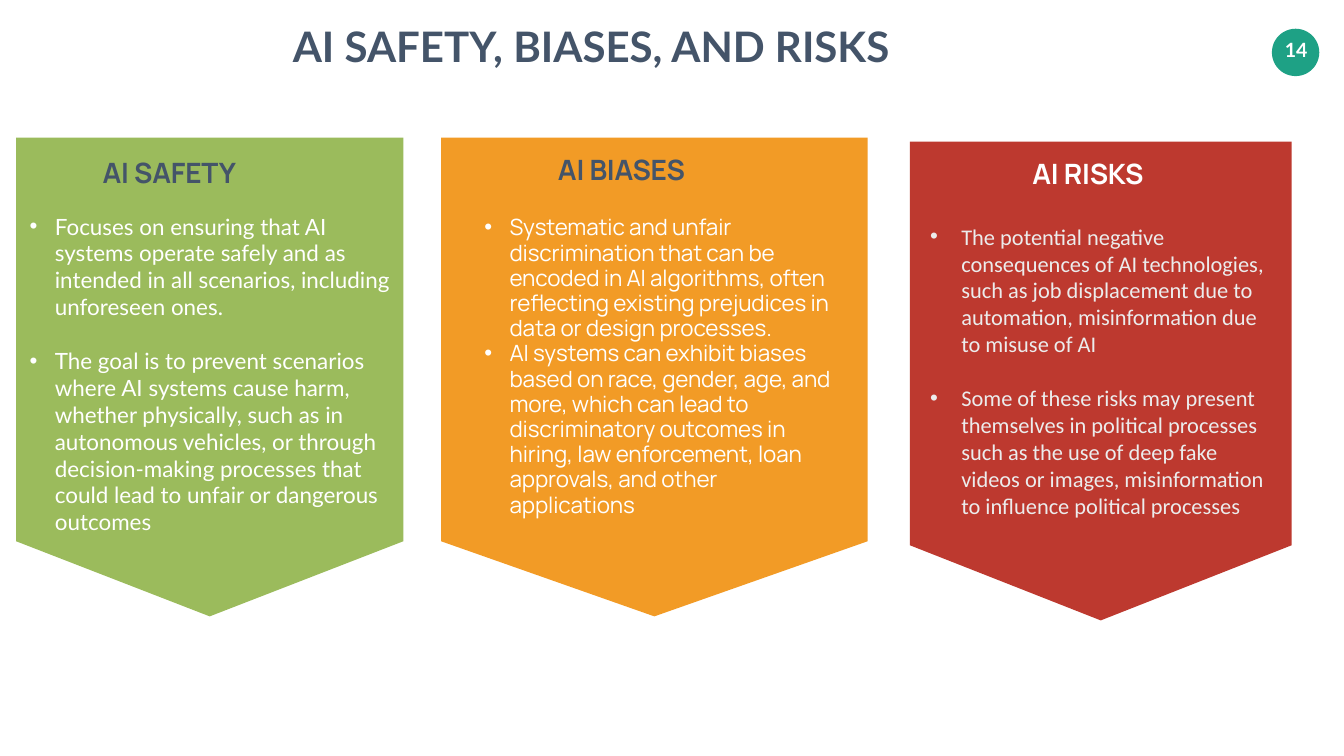
from lxml.etree import SubElement
from pptx import Presentation
from pptx.dml.color import RGBColor
from pptx.enum.shapes import MSO_SHAPE as Shape
from pptx.enum.text import MSO_ANCHOR as Anchor, MSO_AUTO_SIZE as AutoSize, PP_ALIGN as Align
from pptx.oxml.ns import qn
from pptx.util import Inches, Pt

COLUMNS, ROWS = 26.66, 15  # one grid cell is one inch square
COLORS = {"green": "9BBB5C", "orange": "F29B26", "red": "BD392F", "teal": "1EA185",
          "slate": "445469", "white": "FFFFFF", "pale": "ECECEC"}
BANNER_TOP, BODY_ROWS, POINT_ROWS = 2.73, 8.01, 1.49
HEADING_SIZE = (4.16, 0.77)
BLANK_LINE = 38.4

BANNERS = [
    dict(color="green", left=0.32, width=7.68, drop=0,
         heading="AI SAFETY", heading_at=(1.28, 3.04), heading_color="slate",
         box=(0.49, 4.17, 7.54, 6.56), font="Lato", text_color="white",
         indent=0.5, gap=BLANK_LINE, line=None, spacing=0,
         bullets=["Focuses on ensuring that AI systems operate safely and as intended in all "
                  "scenarios, including unforeseen ones.",
                  "The goal is to prevent scenarios where AI systems cause harm, whether "
                  "physically, such as in autonomous vehicles, or through decision-making "
                  "processes that could lead to unfair or dangerous outcomes"]),
    dict(color="orange", left=8.75, width=8.46, drop=0,
         heading="AI BIASES", heading_at=(10.25, 2.97), heading_color="slate",
         box=(9.51, 4.22, 7.25, 6.67), font="Manrope", text_color="white",
         indent=0.5, gap=0, line=36, spacing=-0.2,
         bullets=["Systematic and unfair discrimination that can be encoded in AI algorithms, "
                  "often reflecting existing prejudices in data or design processes.",
                  "AI systems can exhibit biases based on race, gender, age, and more, which can "
                  "lead to discriminatory outcomes in hiring, law enforcement, loan approvals, "
                  "and other applications"]),
    dict(color="red", left=18.05, width=7.57, drop=0.08,
         heading="AI RISKS", heading_at=(19.5, 3.05), heading_color="white",
         box=(18.35, 4.37, 6.97, 6.02), font="Calibri", text_color="pale",
         indent=0.62, gap=BLANK_LINE, line=None, spacing=0,
         bullets=["The potential negative consequences of AI technologies, such as job "
                  "displacement due to automation, misinformation due to misuse of AI",
                  "Some of these risks may present themselves in political processes such as the "
                  "use of deep fake videos or images, misinformation to influence political "
                  "processes"]),
]


class Deck:
    def __init__(self):
        self.presentation = Presentation()
        self.presentation.slide_width = Inches(COLUMNS)
        self.presentation.slide_height = Inches(ROWS)
        self.slide = self.presentation.slides.add_slide(self.presentation.slide_layouts[6])

    def paint(self, shape, color):
        shape.shadow.inherit = False
        shape.fill.solid()
        shape.fill.fore_color.rgb = RGBColor.from_string(COLORS[color])
        shape.line.fill.background()

    def style(self, paragraph, size, font, color, bold=False, spacing=0):
        for run in paragraph.runs:
            run.font.size = Pt(size)
            run.font.name = font
            run.font.bold = bold
            run.font.color.rgb = RGBColor.from_string(COLORS[color])
            if spacing:
                run.font._element.set("spc", str(round(spacing * 100)))

    def text(self, box, text, size, font, color, align=Align.LEFT, anchor=Anchor.TOP,
             bold=True, spacing=0):
        shape = self.slide.shapes.add_textbox(*map(Inches, box))
        frame = shape.text_frame
        frame.word_wrap = True
        frame.auto_size = AutoSize.SHAPE_TO_FIT_TEXT
        frame.vertical_anchor = anchor
        frame.text = text
        for paragraph in frame.paragraphs:
            paragraph.alignment = align
            self.style(paragraph, size, font, color, bold, spacing)
        return frame

    def bullets(self, box, items, font, color, indent, gap, line, spacing):
        frame = self.text(box, "\n".join(items), 32, font, color, bold=False, spacing=spacing)
        for index, paragraph in enumerate(frame.paragraphs):
            if line:
                paragraph.line_spacing = Pt(line)
            if index and gap:
                paragraph.space_before = Pt(gap)
            properties = paragraph._p.get_or_add_pPr()
            properties.set("marL", str(Inches(indent)))
            properties.set("indent", str(-Inches(indent)))
            SubElement(properties, qn("a:buFont")).set("typeface", "Arial")
            SubElement(properties, qn("a:buChar")).set("char", "•")

    def banner(self, left, top, width, color):
        """Draw a rectangle that ends in a downward point."""
        right, shoulder = left + width, top + BODY_ROWS
        outline = [(left, shoulder), (left + width / 2, shoulder + POINT_ROWS),
                   (right, shoulder), (right, top)]
        builder = self.slide.shapes.build_freeform(Inches(left), Inches(top))
        builder.add_line_segments([(Inches(x), Inches(y)) for x, y in outline], close=True)
        self.paint(builder.convert_to_shape(), color)

    def page_badge(self, number):
        circle = self.slide.shapes.add_shape(
            Shape.OVAL, *map(Inches, (25.23, 0.57, 0.94, 0.94)))
        self.paint(circle, "teal")
        frame = self.text((25.27, 0.66, 0.88, 0.67), number, 28, "Lato", "white", Align.CENTER)
        frame.word_wrap = False
        frame.margin_left = frame.margin_right = Inches(0.2)
        frame.margin_top = frame.margin_bottom = Inches(0.1)


def main():
    deck = Deck()
    deck.page_badge("14")
    deck.text((5.71, 0.35, 16.05, 1.11), "AI SAFETY, BIASES, AND RISKS", 60, "Lato", "slate")
    for item in BANNERS:
        deck.banner(item["left"], BANNER_TOP + item["drop"], item["width"], item["color"])
        deck.text(item["heading_at"] + HEADING_SIZE, item["heading"], 40, "Manrope",
                  item["heading_color"], Align.CENTER, Anchor.BOTTOM, spacing=-0.3)
        deck.bullets(item["box"], item["bullets"], item["font"], item["text_color"],
                     item["indent"], item["gap"], item["line"], item["spacing"])
    deck.presentation.save("out.pptx")


if __name__ == "__main__":
    main()
